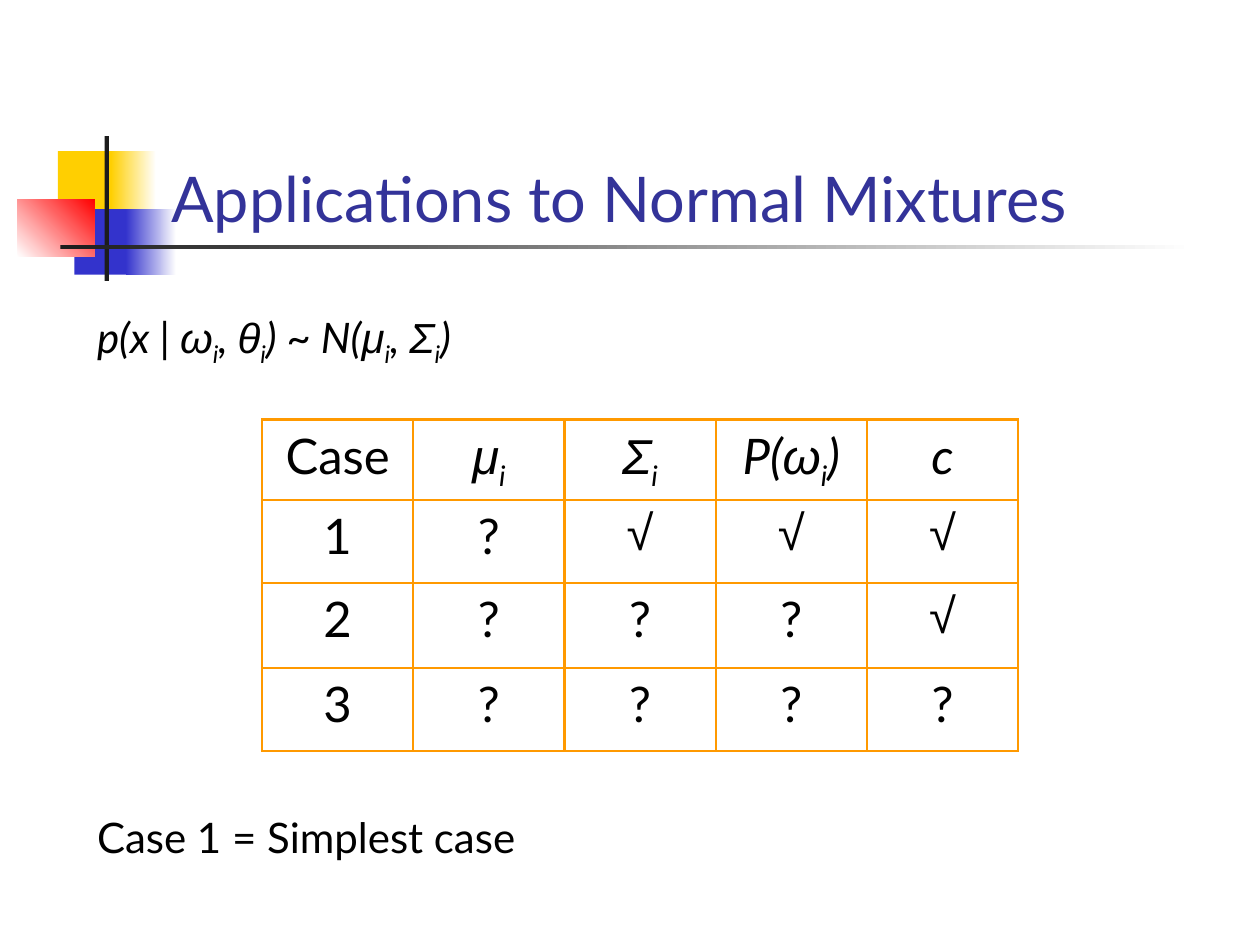
from itertools import groupby

from lxml import etree
from pptx import Presentation
from pptx import util as u
from pptx.dml.color import RGBColor
from pptx.enum import shapes, text
from pptx.oxml import ns

BLACK = RGBColor(0x00, 0x00, 0x00)
WHITE = RGBColor(0xFF, 0xFF, 0xFF)
CHARCOAL = RGBColor(0x1C, 0x1C, 0x1C)
YELLOW = RGBColor(0xFF, 0xCF, 0x01)
BLUE = RGBColor(0x33, 0x33, 0xCC)
RED = RGBColor(0xFF, 0x00, 0x00)
INDIGO = RGBColor(0x33, 0x33, 0x99)
ORANGE = RGBColor(0xFF, 0x99, 0x00)


class Deck:
    FONT, SYMBOL_FONT = "Lato", "Arial"
    SYMBOLS = "ωθμΣ√"
    COLUMNS, ROWS = 100, 75

    def __init__(self):
        self.prs = Presentation()
        self.prs.slide_width, self.prs.slide_height = u.Inches(10), u.Inches(7.5)
        self.slide = self.prs.slides.add_slide(self.prs.slide_layouts[1])

    def x(self, columns):
        return round(self.prs.slide_width * columns / self.COLUMNS)

    def y(self, rows):
        return round(self.prs.slide_height * rows / self.ROWS)

    def box(self, left, top, width, height):
        return self.x(left), self.y(top), self.x(width), self.y(height)

    def block(self, area, *colors, angle=0):
        block = self.slide.shapes.add_shape(shapes.MSO_SHAPE.RECTANGLE, *self.box(*area))
        block.shadow.inherit = False
        block.line.fill.background()
        if len(colors) == 1:
            block.fill.solid()
            block.fill.fore_color.rgb = colors[0]
            return
        block.fill.gradient()
        block.fill.gradient_angle = angle
        for stop, color in zip(block.fill.gradient_stops, colors):
            stop.color.rgb = color

    def typeset(self, paragraph, wording, size, color=BLACK, italic=False,
                align=text.PP_ALIGN.LEFT, before=0):
        paragraph.alignment = align
        paragraph.space_before = u.Pt(before)
        font = paragraph.font
        font.name, font.size, font.italic, font.bold = self.FONT, u.Pt(size), italic, False
        font.color.rgb = color
        for index, piece in enumerate(wording.split("_i")):
            if index:
                subscript = paragraph.add_run()
                subscript.text = "i"
                subscript.font._element.set("baseline", "-25000")
            for is_symbol, letters in groupby(piece, lambda c: c in self.SYMBOLS):
                run = paragraph.add_run()
                run.text = "".join(letters)
                if is_symbol:
                    run.font.name = self.SYMBOL_FONT

    def place(self, placeholder, area, anchor):
        placeholder.left, placeholder.top, placeholder.width, placeholder.height = self.box(*area)
        placeholder.element.getparent().append(placeholder.element)
        frame = placeholder.text_frame
        frame.auto_size = text.MSO_AUTO_SIZE.NONE
        frame.word_wrap = True
        frame.vertical_anchor = anchor
        return frame

    def title(self, area, wording):
        frame = self.place(self.slide.shapes.title, area, text.MSO_ANCHOR.BOTTOM)
        self.typeset(frame.paragraphs[0], wording, 36, INDIGO)

    def body(self, area, lines):
        frame = self.place(self.slide.placeholders[1], area, text.MSO_ANCHOR.TOP)
        for index, (wording, italic, before) in enumerate(lines):
            paragraph = frame.add_paragraph() if index else frame.paragraphs[0]
            properties = paragraph._p.get_or_add_pPr()
            properties.set("marL", "0")
            properties.set("indent", "0")
            etree.SubElement(properties, ns.qn("a:buNone"))
            self.typeset(paragraph, wording, 24, italic=italic, before=before)

    def border(self, cell):
        properties = cell._tc.get_or_add_tcPr()
        for index, side in enumerate(("lnL", "lnR", "lnT", "lnB")):
            line = etree.Element(ns.qn(f"a:{side}"), w=str(u.Pt(1.47)))
            fill = etree.SubElement(line, ns.qn("a:solidFill"))
            etree.SubElement(fill, ns.qn("a:srgbClr"), val=str(ORANGE))
            properties.insert(index, line)

    def table(self, area, heights, rows):
        frame = self.slide.shapes.add_table(len(rows), len(rows[0]), *self.box(*area))
        table = frame.table
        table.first_row = table.horz_banding = False
        for row, height in zip(table.rows, heights):
            row.height = self.y(height)
        for r, wordings in enumerate(rows):
            for c, wording in enumerate(wordings):
                cell = table.cell(r, c)
                cell.fill.background()
                self.border(cell)
                self.typeset(cell.text_frame.paragraphs[0], wording, 28,
                             italic=r == 0 and c > 0, align=text.PP_ALIGN.CENTER)


def main():
    deck = Deck()
    deck.block((4.6, 12, 4.8, 5.2), YELLOW)
    deck.block((8.8, 12, 3.6, 5.2), YELLOW, WHITE)
    deck.block((5.9, 16.6, 4.6, 5.2), BLUE)
    deck.block((10, 16.6, 4, 5.2), BLUE, WHITE)
    deck.block((1.4, 15.8, 6.1, 4.6), WHITE, RED, angle=45)
    deck.block((8.3, 10.8, 0.35, 11.5), CHARCOAL)
    deck.block((4.8, 19.45, 90, 0.35), CHARCOAL, WHITE)

    deck.title((12.6, 6.7, 85.2, 12.5), "Applications to Normal Mixtures")
    deck.body((6.7, 24.2, 88.5, 56.6), [
        ("p(x | ω_i, θ_i) ~ N(μ_i, Σ_i)", True, 0),
        ("Case 1 = Simplest case", False, 253),
    ])
    deck.table((20.8, 33.3, 60, 26.4), (6.4, 6.6, 6.7, 6.6), [
        ("Case", "μ_i", "Σ_i", "P(ω_i)", "c"),
        ("1", "?", "√", "√", "√"),
        ("2", "?", "?", "?", "√"),
        ("3", "?", "?", "?", "?"),
    ])
    deck.prs.save("out.pptx")


if __name__ == "__main__":
    main()
